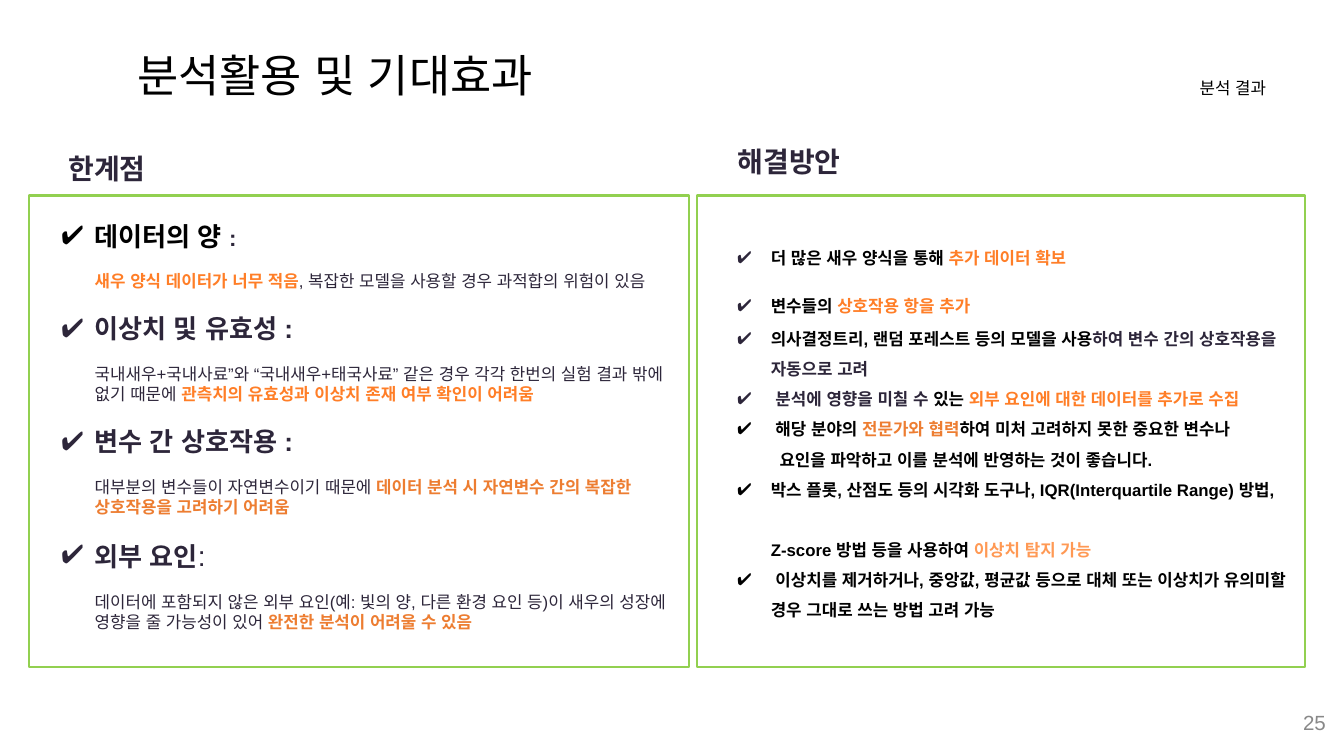
import pptx
import pptx.dml.color
import pptx.enum.shapes
import pptx.enum.text
import pptx.oxml.ns
import pptx.util
from lxml import etree

WIDTH, HEIGHT = 20, 11.25
FONT = "Arial"
BLACK, INK, GREY = "000000", "2D263A", "888888"
ORANGE, RUST, PEACH = "FF7E27", "ED7D31", "FF9954"
GREEN, WHITE = "92D050", "FFFFFF"
HANG = 0.5

# Heading, its colour, colon size, colon bold, detail runs
LIMITS = [
    ("데이터의 양 ", BLACK, 24, True,
     [("새우 양식 데이터가 너무 적음", ORANGE, True),
      (", 복잡한 모델을 사용할 경우 과적합의 위험이 있음", INK, False)]),
    ("이상치 및 유효성 ", INK, 28, True,
     [("국내새우+국내사료”와 “국내새우+태국사료” 같은 경우 각각 한번의 실험 결과 밖에 없기 때문에 ", INK, False),
      ("관측치의 유효성과 이상치 존재 여부 확인이 어려움", ORANGE, True)]),
    ("변수 간 상호작용 ", INK, 28, True,
     [("대부분의 변수들이 자연변수이기 때문에 ", INK, False),
      ("데이터 분석 시 자연변수 간의 복잡한 상호작용을 고려하기 어려움", RUST, True)]),
    ("외부 요인", INK, 30, False,
     [("데이터에 포함되지 않은 외부 요인(예: 빛의 양, 다른 환경 요인 등)이 새우의 성장에 영향을 줄 가능성이 있어 ", INK, False),
      ("완전한 분석이 어려울 수 있음", RUST, True)]),
]

# Bullet colour (None for a continuation), left indent, space before, runs
REMEDIES = [
    (INK, HANG, 0, [("더 많은 새우 양식을 통해", BLACK), (" 추가 데이터 확보", ORANGE)]),
    (INK, HANG, 19, [("변수들의", BLACK), (" 상호작용 항을 추가", ORANGE)]),
    (INK, HANG, 3, [("의사결정트리, 랜덤 포레스트 등의 모델을 사용", BLACK),
                    ("하여 변수 간의 상호작용을\v자동으로 고려", INK)]),
    (INK, 0.57, 0, [("분석에 영향을 미칠 수 ", INK), ("있는", BLACK),
                    (" 외부 요인에 대한 데이터를 추가로 수집", ORANGE)]),
    (BLACK, 0.57, 0, [("해당 분야의 ", BLACK), ("전문가와 협력", RUST),
                      ("하여 미처 고려하지 못한 중요한 변수나", BLACK)]),
    (None, 0.63, 0, [("요인을 파악하고 이를 분석에 반영하는 것이 좋습니다.", BLACK)]),
    (BLACK, HANG, 0, [("박스 플롯, 산점도 등의 시각화 도구나, IQR(Interquartile Range) 방법,", BLACK)]),
    (None, HANG, 32, [("Z-score 방법 등을 사용하여 ", BLACK), ("이상치 탐지 가능", PEACH)]),
    (BLACK, HANG, 0, [(" 이상치를 제거하거나, 중앙값, 평균값 등으로 대체 또는 이상치가 "
                       "유의미할 경우 그대로 쓰는 방법 고려 가능", BLACK)]),
]


def rgb(color):
    return pptx.dml.color.RGBColor.from_string(color)


def place(sp, x, y, w, h):
    inches = pptx.util.Inches
    sp.left, sp.top, sp.width, sp.height = inches(x), inches(y), inches(w), inches(h)


def set_frame(sp, anchor="TOP", top=0.05):
    tf = sp.text_frame
    tf.word_wrap = True
    tf.auto_size = pptx.enum.text.MSO_AUTO_SIZE.NONE
    tf.vertical_anchor = pptx.enum.text.MSO_ANCHOR[anchor]
    tf.margin_left = tf.margin_right = pptx.util.Inches(0.1)
    tf.margin_top, tf.margin_bottom = pptx.util.Inches(top), pptx.util.Inches(0.05)
    return tf


def set_indent(p, left, hanging, bullet):
    """Set indents in inches and a check mark in the bullet colour, or no bullet."""
    pPr = p._p.get_or_add_pPr()
    pPr.set("marL", str(pptx.util.Inches(left)))
    pPr.set("indent", str(-pptx.util.Inches(hanging)))
    qn = pptx.oxml.ns.qn
    if bullet is None:
        etree.SubElement(pPr, qn("a:buNone"))
        return
    clr = etree.SubElement(pPr, qn("a:buClr"))
    etree.SubElement(clr, qn("a:srgbClr"), val=bullet)
    etree.SubElement(pPr, qn("a:buFont"), typeface=FONT)
    etree.SubElement(pPr, qn("a:buChar"), char="✔")


def add_text(p, text, size=18, color=BLACK, bold=False):
    for i, line in enumerate(text.split("\v")):
        if i:
            p.add_line_break()
        r = p.add_run()
        r.text = line
        r.font.name, r.font.size, r.font.bold = FONT, pptx.util.Pt(size), bold
        r.font.color.rgb = rgb(color)
        etree.SubElement(r._r.get_or_add_rPr(), pptx.oxml.ns.qn("a:ea"), typeface=FONT)


def add_paragraph(tf, left=0, hanging=0, bullet=None, before=0, spacing=1.0, align="LEFT"):
    p = tf.paragraphs[0] if not tf.paragraphs[0].runs else tf.add_paragraph()
    set_indent(p, left, hanging, bullet)
    p.space_before, p.space_after = pptx.util.Pt(before), pptx.util.Pt(0)
    p.line_spacing = spacing
    p.alignment = pptx.enum.text.PP_ALIGN[align]
    return p


def add_label(slide, box, text, anchor="TOP", align="LEFT", top=0.05, **style):
    sp = slide.shapes.add_textbox(0, 0, 0, 0)
    place(sp, *box)
    add_text(add_paragraph(set_frame(sp, anchor, top), align=align), text, **style)


def add_panel(slide, x, w):
    sp = slide.shapes.add_shape(pptx.enum.shapes.MSO_SHAPE.RECTANGLE, 0, 0, 0, 0)
    place(sp, x, 2.91, w, 7.01)
    sp.shadow.inherit = False
    sp.fill.solid()
    sp.fill.fore_color.rgb = rgb(WHITE)
    sp.line.color.rgb = rgb(GREEN)
    sp.line.width = pptx.util.Pt(2.25)


def fill_limits(sp):
    place(sp, 0.81, 2.21, 9.31, 7.57)
    tf = set_frame(sp)
    add_text(add_paragraph(tf, left=0.11), "한계점", size=30, color=INK, bold=True)
    for i, (heading, color, colon_size, colon_bold, detail) in enumerate(LIMITS):
        p = add_paragraph(tf, HANG, HANG, color, before=23 if i else 37)
        add_text(p, heading, size=28, color=color, bold=True)
        add_text(p, ":", size=colon_size, color=INK, bold=colon_bold)
        p = add_paragraph(tf, HANG, before=21)
        for text, run_color, bold in detail:
            add_text(p, text, color=run_color, bold=bold)


def fill_remedies(sp):
    place(sp, 10.87, 2.82, 8.55, 6.8)
    tf = set_frame(sp, top=0.71)
    for bullet, left, before, runs in REMEDIES:
        p = add_paragraph(tf, left, left if bullet else 0, bullet, before, spacing=1.5)
        for text, color in runs:
            add_text(p, text, color=color, bold=True)


def main():
    prs = pptx.Presentation()
    prs.slide_width, prs.slide_height = pptx.util.Inches(WIDTH), pptx.util.Inches(HEIGHT)
    slide = prs.slides.add_slide(prs.slide_layouts.get_by_name("Two Content"))
    title, limits, remedies = slide.placeholders

    add_panel(slide, 10.37, 9.05)
    add_panel(slide, 0.43, 9.82)
    # Panels go behind the placeholders
    tree = slide.shapes._spTree
    for sp in (title, limits, remedies):
        tree.append(sp._element)

    place(title, 1.94, 0.66, 8, 0.91)
    add_text(add_paragraph(set_frame(title, "MIDDLE")), "분석활용 및 기대효과", size=48)
    fill_limits(limits)
    fill_remedies(remedies)
    add_label(slide, (15.69, 1.11, 3.25, 0.4), "분석 결과", align="RIGHT")
    add_label(slide, (10.88, 2.05, 2.97, 0.71), "해결방안", top=0.1,
              size=30, color=INK, bold=True)
    add_label(slide, (15.33, 10.45, 4.5, 0.6), "25", anchor="MIDDLE", align="RIGHT",
              size=22, color=GREY)
    prs.save("out.pptx")


if __name__ == "__main__":
    main()
